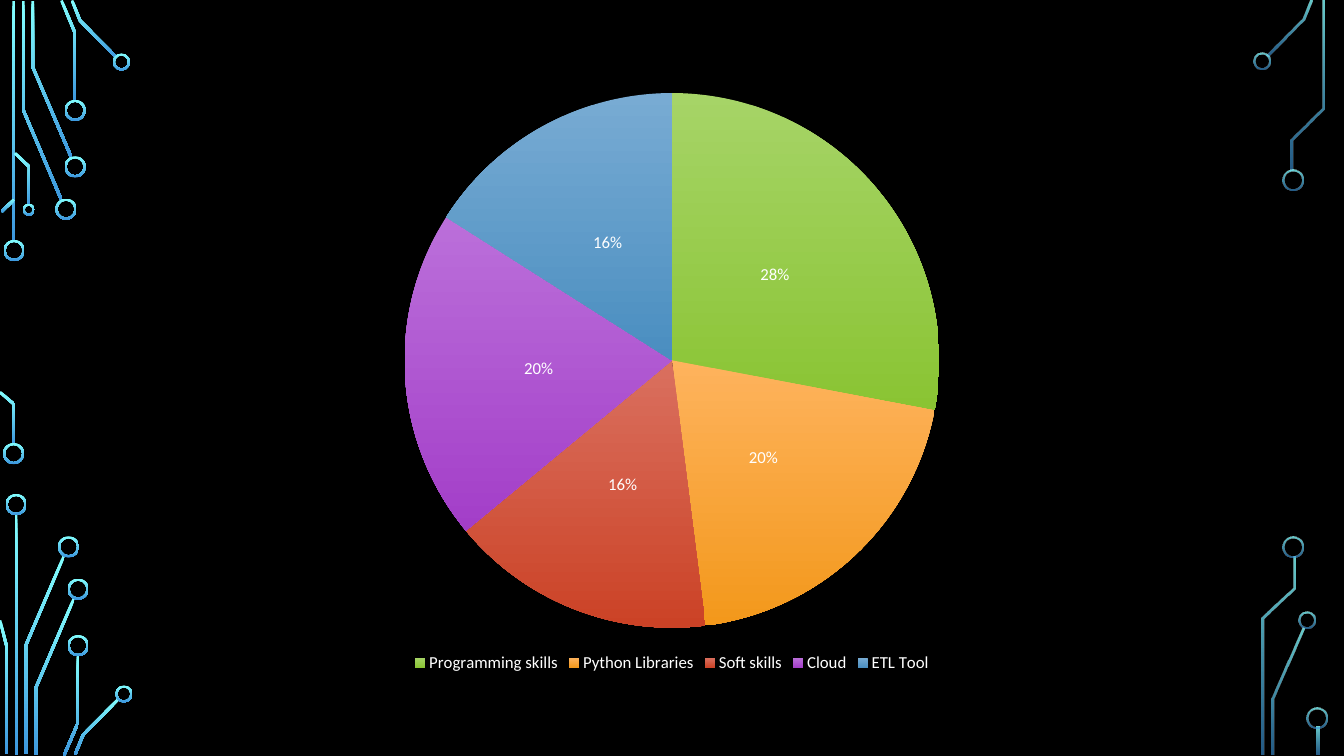
from math import hypot

from lxml.etree import SubElement
from pptx import Presentation
from pptx.chart.data import CategoryChartData
from pptx.dml.color import RGBColor
from pptx.enum.chart import XL_CHART_TYPE as ChartType
from pptx.enum.chart import XL_LABEL_POSITION as LabelPosition
from pptx.enum.chart import XL_LEGEND_POSITION as LegendPosition
from pptx.enum.shapes import MSO_SHAPE as Preset
from pptx.oxml.ns import qn
from pptx.util import Inches, Pt

GRID = Inches(0.1)
COLUMNS, ROWS = 133.33, 75
TRACE_WIDTH = 0.27
RING_WALL = 0.2
FONT = "Calibri"
COLORS = {
    "background": "000000",
    "text": "FFFFFF",
    "trace_top": "82FFFF",
    "trace_bottom": "3D97DE",
}
SKILLS = [
    ("Programming skills", 28, "A6D467", "8AC433"),
    ("Python Libraries", 20, "FEB35D", "F3981B"),
    ("Soft skills", 16, "DA705F", "CB4226"),
    ("Cloud", 20, "BB6FDA", "A33EC8"),
    ("ETL Tool", 16, "78ABD3", "4A8EC0"),
]
LEFT_TRACES = [
    [(1.35, 0.1), (1.35, 24)],
    [(2.3, 0.1), (2.3, 10.9), (6.1, 19.85)],
    [(3.25, 0.1), (3.25, 6.65), (7.1, 15.65)],
    [(6.1, 0.05), (7.45, 3.3), (7.45, 10)],
    [(7.15, 0.05), (7.95, 2.05), (11.55, 5.7)],
    [(0.15, 21), (1.4, 19.8)],
    [(0, 38.9), (1.4, 40.1), (1.4, 44.1)],
    [(1.5, 15.2), (2.9, 16.55), (2.9, 20.3)],
    [(1.6, 51), (1.6, 74.9)],
    [(2.55, 74.8), (2.55, 64.05), (6.35, 55.15)],
    [(0, 61.55), (0.65, 64.1), (0.65, 74.8)],
    [(3.55, 74.9), (3.55, 68.25), (7.35, 59.35)],
    [(6.35, 74.95), (7.75, 71.7), (7.75, 65)],
    [(7.45, 74.85), (8.25, 72.9), (11.8, 69.3)],
]
RIGHT_TRACES = [
    [(125.7, 5.55), (129.25, 1.95), (130.05, 0.05)],
    [(128.2, 16.9), (128.2, 13.85), (131.25, 10.75), (131.25, 0.1)],
    [(126.25, 74.9), (126.25, 69.35), (129.3, 62.35)],
    [(125.25, 74.9), (125.25, 61.35), (128.35, 58.35), (128.35, 55.2)],
    [(130.75, 72.1), (130.75, 74.9)],
]
LEFT_RINGS = [
    (1.4, 24.85, 2.1), (1.35, 45, 2.1), (6.55, 20.75, 2.1),
    (7.45, 16.55, 2.1), (7.45, 10.95, 2.1), (12.05, 6.15, 1.7),
    (2.85, 20.8, 1.2), (1.6, 50.05, 2.1), (6.8, 54.25, 2.1),
    (7.75, 58.45, 2.1), (7.75, 64.05, 2.1), (12.3, 68.85, 1.7),
]
RIGHT_RINGS = [
    (125.2, 6.05, 1.7), (128.25, 17.85, 2.1), (129.65, 61.55, 1.7),
    (128.3, 54.25, 2.1), (130.65, 71.2, 2.1),
]


def grid(*cells):
    return [round(cell * GRID) for cell in cells]


def fill_gradient(fill, colors, opacities=(100, 100)):
    fill.gradient()
    fill.gradient_angle = 270
    for stop, color, opacity in zip(fill.gradient_stops, colors, opacities):
        stop.color.rgb = RGBColor.from_string(color)
        if opacity < 100:
            hex_color = fill._xPr.findall(".//" + qn("a:srgbClr"))[-1]
            SubElement(hex_color, qn("a:alpha"), val=str(opacity * 1000))


def style_circuit(shape, opacities):
    shape.shadow.inherit = False
    shape.line.fill.background()
    fill_gradient(shape.fill, (COLORS["trace_top"], COLORS["trace_bottom"]), opacities)


def ribbon(points):
    normals = []
    for (x1, y1), (x2, y2) in zip(points, points[1:]):
        length = hypot(x2 - x1, y2 - y1)
        normals.append(((y1 - y2) / length, (x2 - x1) / length))
    one_side, other_side = [], []
    for (x, y), (ax, ay), (bx, by) in zip(points, normals[:1] + normals, normals + normals[-1:]):
        reach = TRACE_WIDTH / 2 / (1 + ax * bx + ay * by)
        dx, dy = (ax + bx) * reach, (ay + by) * reach
        one_side.append((x + dx, y + dy))
        other_side.append((x - dx, y - dy))
    return one_side + other_side[::-1]


def add_trace(slide, points, opacities):
    start, *rest = [grid(*point) for point in ribbon(points)]
    builder = slide.shapes.build_freeform(*start)
    builder.add_line_segments(rest, close=True)
    style_circuit(builder.convert_to_shape(), opacities)


def add_ring(slide, center_x, center_y, size, opacities):
    box = grid(center_x - size / 2, center_y - size / 2, size, size)
    shape = slide.shapes.add_shape(Preset.DONUT, *box)
    shape.adjustments[0] = RING_WALL / size
    style_circuit(shape, opacities)


def add_circuit(slide, traces, rings, opacities):
    for points in traces:
        add_trace(slide, points, opacities)
    for ring in rings:
        add_ring(slide, *ring, opacities)


def style_font(font, size):
    font.name = FONT
    font.size = Pt(size)
    font.color.rgb = RGBColor.from_string(COLORS["text"])


def add_skills_pie(slide):
    data = CategoryChartData()
    data.categories = [name for name, *_ in SKILLS]
    data.add_series("Series 1", [value for _, value, *_ in SKILLS])
    width, height = COLUMNS * 2 / 3, 59.3
    box = grid((COLUMNS - width) / 2, (ROWS - height) / 2, width, height)
    chart = slide.shapes.add_chart(ChartType.PIE, *box, data).chart
    style_font(chart.font, 10)
    chart.has_title = False
    chart.has_legend = True
    chart.legend.position = LegendPosition.BOTTOM
    chart.legend.include_in_layout = False
    style_font(chart.legend.font, 12)

    plot = chart.plots[0]
    plot.vary_by_categories = True
    plot.has_data_labels = True
    labels = plot.data_labels
    labels.show_percentage = True
    labels.show_value = False
    labels.number_format = "0%"
    labels.number_format_is_linked = False
    labels.position = LabelPosition.CENTER
    style_font(labels.font, 12)
    for index, (_, _, *colors) in enumerate(SKILLS):
        slice_format = plot.series[0].points[index].format
        fill_gradient(slice_format.fill, colors)
        slice_format.line.fill.background()


def main():
    presentation = Presentation()
    presentation.slide_width, presentation.slide_height = grid(COLUMNS, ROWS)
    slide = presentation.slides.add_slide(presentation.slide_layouts[6])
    slide.background.fill.solid()
    slide.background.fill.fore_color.rgb = RGBColor.from_string(COLORS["background"])
    add_circuit(slide, LEFT_TRACES, LEFT_RINGS, (100, 100))
    add_circuit(slide, RIGHT_TRACES, RIGHT_RINGS, (80, 60))
    add_skills_pie(slide)
    presentation.save("out.pptx")


if __name__ == "__main__":
    main()
